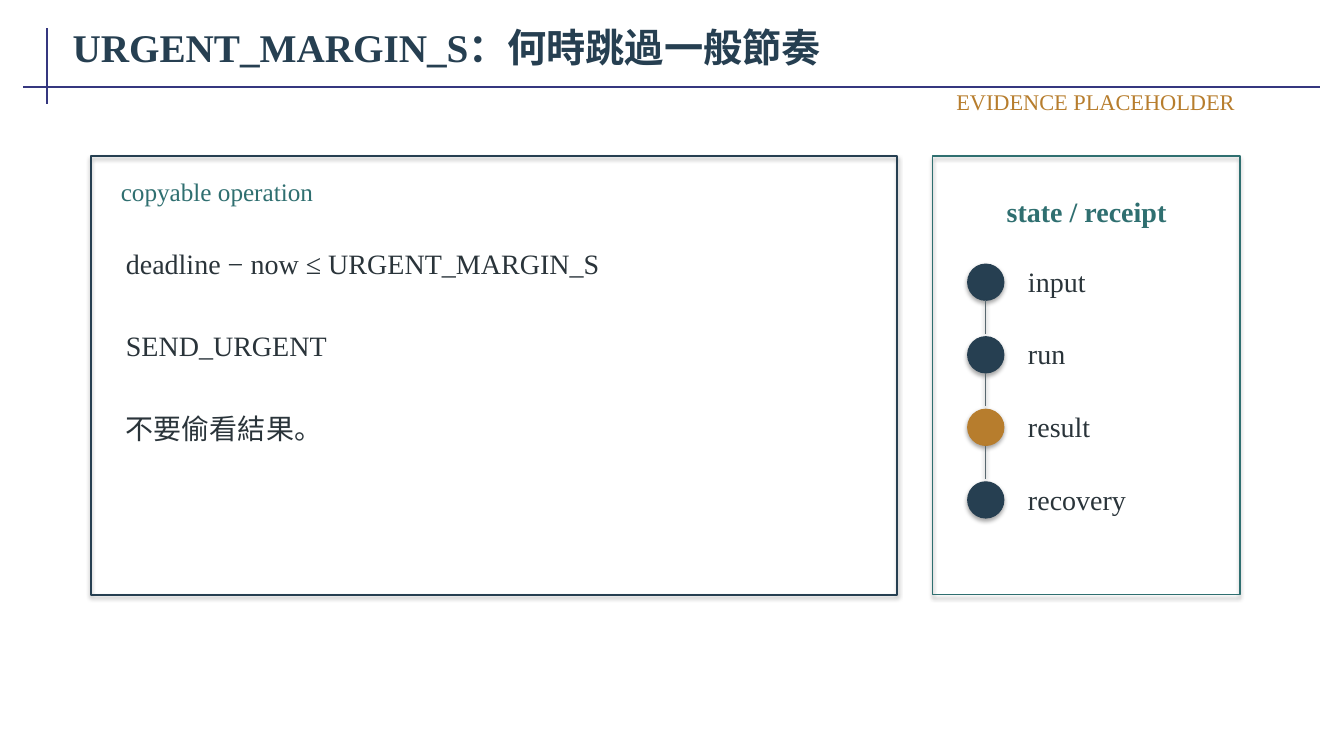
from lxml import etree
from pptx import Presentation
from pptx import util as u
from pptx.dml.color import RGBColor
from pptx.enum import shapes, text
from pptx.oxml import ns

NAVY = RGBColor(0x26, 0x3F, 0x51)
TEAL = RGBColor(0x2F, 0x6F, 0x70)
AMBER = RGBColor(0xB7, 0x7D, 0x2D)
INK = RGBColor(0x2A, 0x34, 0x3A)
SLATE = RGBColor(0x59, 0x68, 0x6F)
INDIGO = RGBColor(0x35, 0x37, 0x7F)

RECT = shapes.MSO_SHAPE.RECTANGLE
OVAL = shapes.MSO_SHAPE.OVAL
LEFT, CENTER, RIGHT = text.PP_ALIGN.LEFT, text.PP_ALIGN.CENTER, text.PP_ALIGN.RIGHT


class Board:
    face = "Times New Roman"

    def __init__(self, slide):
        self.slide = slide

    def letter(self, frame, words, size, color, bold=False, align=LEFT):
        frame.word_wrap = True
        frame.vertical_anchor = text.MSO_ANCHOR.MIDDLE
        para = frame.paragraphs[0]
        para.alignment = align
        run = para.add_run()
        run.text = words
        font = run.font
        font.name, font.size, font.bold = self.face, u.Pt(size), bold
        font.color.rgb = color

    def title(self, box, words):
        head = self.slide.shapes.title
        head.left, head.top, head.width, head.height = map(u.Pt, box)
        head.text_frame.auto_size = text.MSO_AUTO_SIZE.NONE
        self.letter(head.text_frame, words, 28, NAVY, True)

    def label(self, box, words, size=20, color=INK, bold=False, align=LEFT):
        frame = self.slide.shapes.add_textbox(*map(u.Pt, box)).text_frame
        frame.auto_size = text.MSO_AUTO_SIZE.SHAPE_TO_FIT_TEXT
        self.letter(frame, words, size, color, bold, align)

    def shape(self, kind, box, color, width, filled=False):
        item = self.slide.shapes.add_shape(kind, *map(u.Pt, box))
        if filled:
            item.fill.solid()
            item.fill.fore_color.rgb = color
        else:
            item.fill.background()
        item.line.color.rgb = color
        item.line.width = u.Pt(width)

    def line(self, ends, color, width, shadow=False):
        item = self.slide.shapes.add_connector(
            shapes.MSO_CONNECTOR.STRAIGHT, *map(u.Pt, ends))
        item.line.color.rgb = color
        item.line.width = u.Pt(width)
        if not shadow:
            etree.SubElement(item._element.spPr, ns.qn("a:effectLst"))


def main():
    deck = Presentation()
    deck.slide_width, deck.slide_height = u.Pt(960), u.Pt(540)
    board = Board(deck.slides.add_slide(deck.slide_layouts[5]))

    board.line((33.84, 20.16, 33.84, 74.16), INDIGO, 1.5)
    board.line((16.56, 61.92, 943.2, 61.92), INDIGO, 1.5)
    board.title((44.64, 10.8, 899.28, 44.64), "URGENT_MARGIN_S：何時跳過一般節奏")

    board.shape(RECT, (64.8, 111.6, 576, 313.2), NAVY, 1.4)
    board.label((79.2, 123.84, 547.2, 25.2), "copyable operation", 18, TEAL)
    rules = ("deadline − now ≤ URGENT_MARGIN_S", "SEND_URGENT", "不要偷看結果。")
    for row, words in enumerate(rules):
        board.label((82.8, 162 + row * 59.04, 529.2, 51.84), words)

    board.shape(RECT, (666, 111.6, 219.6, 313.2), TEAL, 1.1)
    board.label((682.56, 131.04, 187.2, 39.6), "state / receipt", 20, TEAL, True, CENTER)
    steps = ("input", "run", "result", "recovery")
    dot, pitch, mid = 25.92, 51.84, 704.16
    for row, step in enumerate(steps):
        top = 188.64 + row * pitch
        color = AMBER if step == "result" else NAVY
        board.shape(OVAL, (mid - dot / 2, top, dot, dot), color, 0.75, True)
        board.label((727.2, top - 2.16, 133.2, 28.8), step)
        if step != steps[-1]:
            board.line((mid, top + dot, mid, top + pitch - 2.16), SLATE, 0.9, True)

    board.label((658.8, 61.92, 230.4, 21.6), "EVIDENCE PLACEHOLDER", 16, AMBER, align=RIGHT)
    deck.save("out.pptx")


if __name__ == "__main__":
    main()
